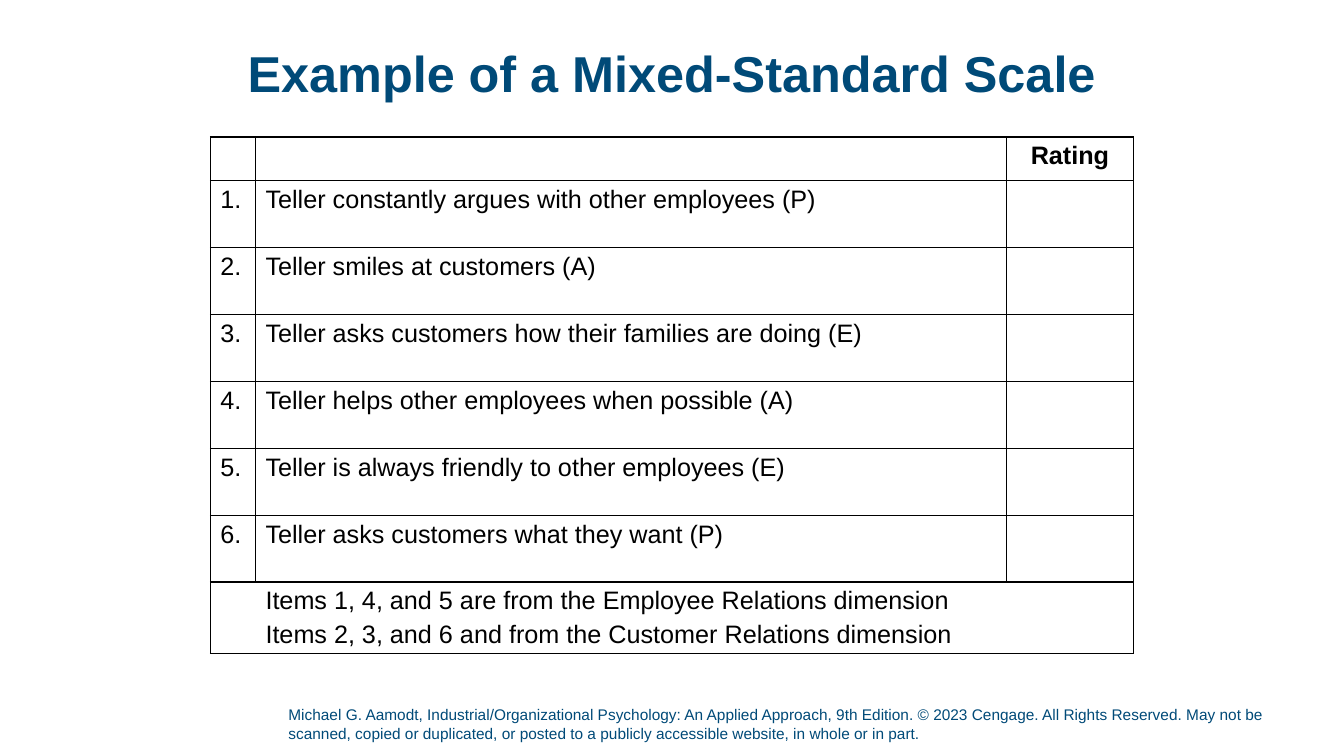
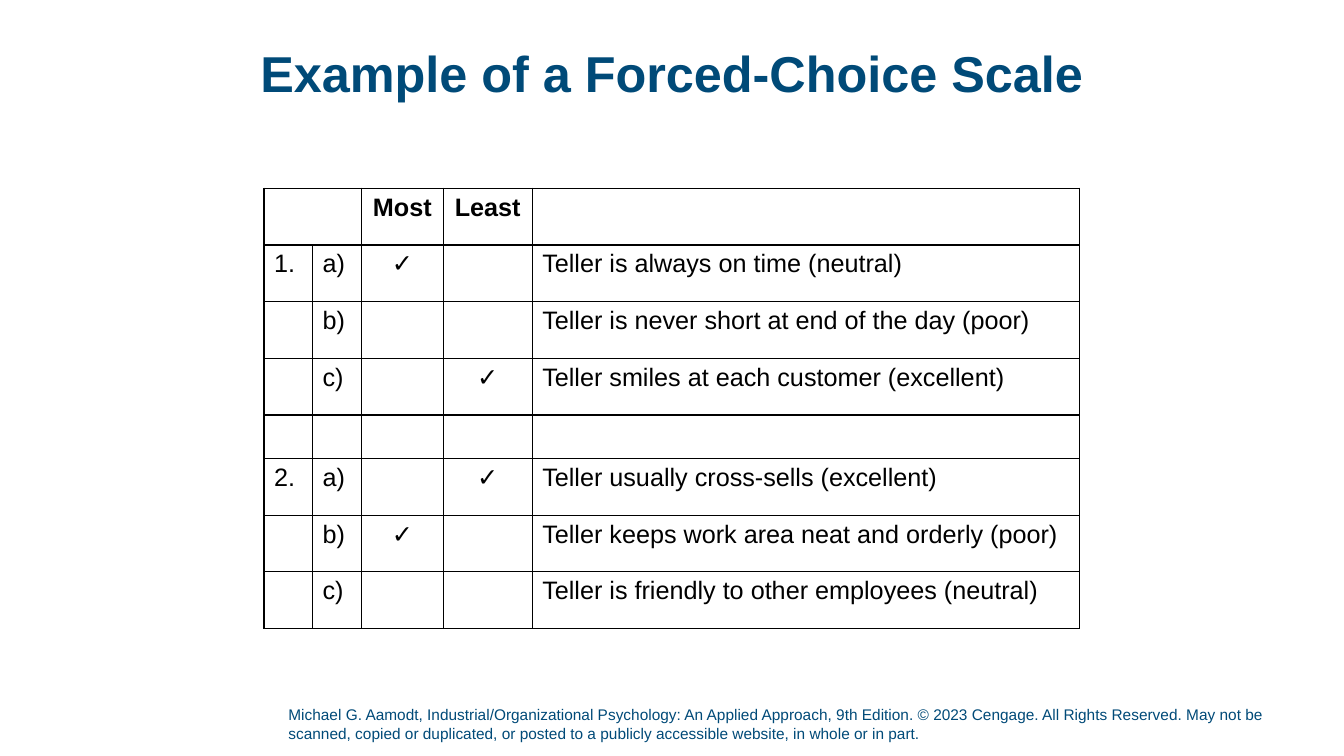
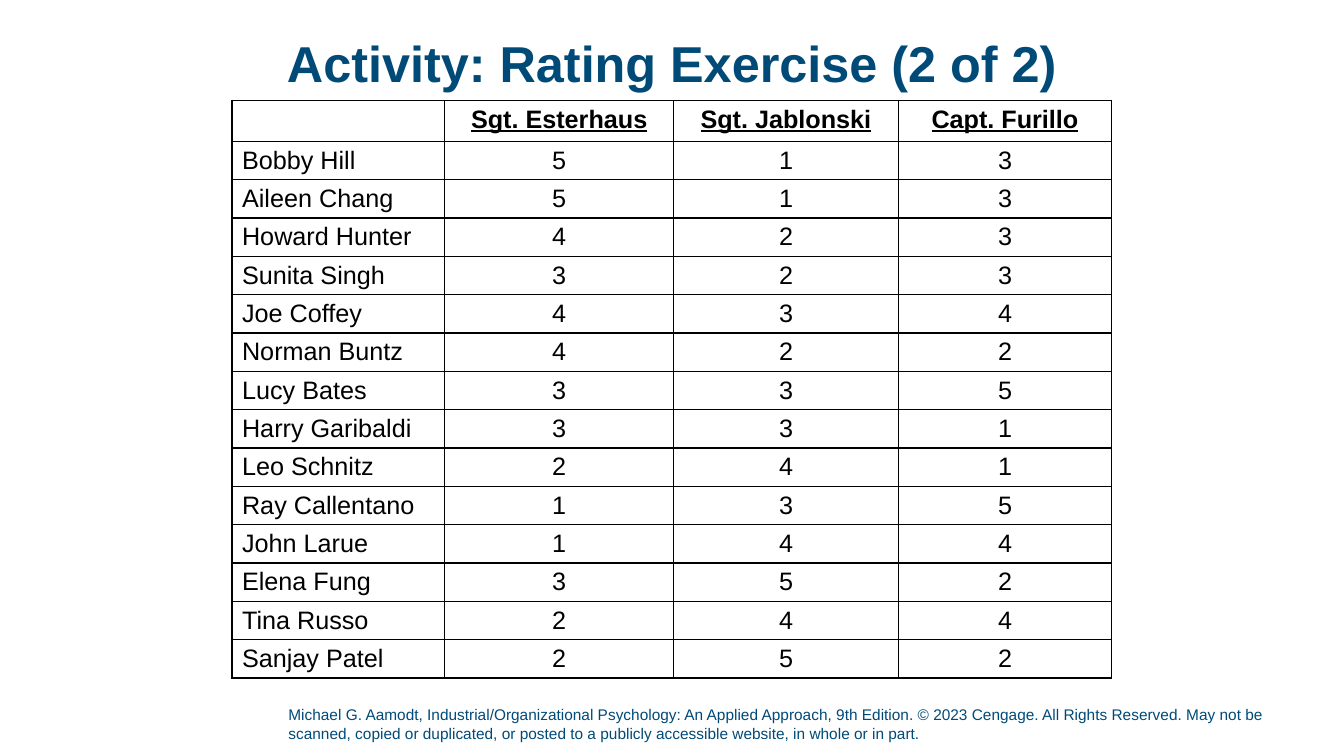
from dataclasses import dataclass

from lxml.etree import SubElement
from pptx import Presentation
from pptx.dml.color import RGBColor
from pptx.enum.text import MSO_ANCHOR, MSO_AUTO_SIZE, PP_ALIGN
from pptx.oxml.ns import qn
from pptx.util import Pt


@dataclass(frozen=True)
class Theme:
    font: str = "Arial"
    blue: str = "004A78"
    black: str = "000000"
    head: float = 36
    body: float = 18
    note: float = 11
    rule: float = 1


THEME = Theme()
FOOTER = (
    "Michael G. Aamodt, Industrial/Organizational Psychology: An Applied "
    "Approach, 9th Edition. © 2023 Cengage. All Rights Reserved. May not be "
    "scanned, copied or duplicated, or posted to a publicly accessible "
    "website, in whole or in part."
)


def write(frame, text, size=THEME.body, color=THEME.black, bold=False,
          under=False, center=False, gap=0, lead=None):
    """Fill a text frame, one paragraph for each line of text."""
    for num, line in enumerate(text.split("\n")):
        para = frame.add_paragraph() if num else frame.paragraphs[0]
        para.alignment = PP_ALIGN.CENTER if center else PP_ALIGN.LEFT
        para.space_before = Pt(gap if num else 0)
        if lead:
            para.line_spacing = lead
        run = para.add_run()
        run.text = line
        font = run.font
        font.name, font.size = THEME.font, Pt(size)
        font.bold, font.underline = bold, under
        font.color.rgb = RGBColor.from_string(color)


def fit(frame, anchor, base=0):
    """Wrap a frame with no margins but the one at its base."""
    frame.word_wrap = True
    frame.auto_size = MSO_AUTO_SIZE.NONE
    frame.vertical_anchor = anchor
    frame.margin_left = frame.margin_right = frame.margin_top = 0
    frame.margin_bottom = Pt(base)


def edge(cell, side, shown):
    """Draw or hide one border of a cell."""
    line = SubElement(cell._tc.get_or_add_tcPr(), qn(f"a:ln{side}"),
                      w=str(Pt(THEME.rule)))
    if shown:
        fill = SubElement(line, qn("a:solidFill"))
        SubElement(fill, qn("a:srgbClr"), val=THEME.black)
    else:
        SubElement(line, qn("a:noFill"))


class Deck:
    def __init__(self):
        self.prs = Presentation()
        self.prs.slide_width, self.prs.slide_height = Pt(960), Pt(540)
        self.layout = self.prs.slide_layouts.get_by_name("Title Only")
        self.slide = None

    def start(self, title, top=12, height=85):
        """Add a slide with its title."""
        first = self.slide is None
        self.slide = self.prs.slides.add_slide(self.layout)
        if first:
            self.footer()
        head = self.slide.shapes.title
        head.left, head.top = Pt(66), Pt(top)
        head.width, head.height = Pt(828), Pt(height)
        fit(head.text_frame, MSO_ANCHOR.MIDDLE)
        write(head.text_frame, title, size=THEME.head, color=THEME.blue,
              bold=True, center=True, lead=0.9)

    def footer(self):
        """Place the copyright line on the layout, for all slides."""
        box = self.slide.shapes.add_textbox(Pt(206), Pt(504), Pt(744.5), Pt(30))
        fit(box.text_frame, MSO_ANCHOR.BOTTOM, base=3.6)
        write(box.text_frame, FOOTER, size=THEME.note, color=THEME.blue)
        self.layout.shapes._spTree.append(box._element)

    def table(self, left, top, cols, highs, rows, mid, under=False, joins=()):
        """Add a ruled table; joins lists cells with no right border."""
        grid = self.slide.shapes.add_table(
            len(rows), len(cols), Pt(left), Pt(top),
            Pt(sum(cols)), Pt(sum(highs))).table
        grid.first_row = grid.horz_banding = False
        for col, wide in zip(grid.columns, cols):
            col.width = Pt(wide)
        for r, (row, high) in enumerate(zip(rows, highs)):
            grid.rows[r].height = Pt(high)
            for c, text in enumerate(row):
                cell = grid.cell(r, c)
                edge(cell, "L", (r, c - 1) not in joins)
                edge(cell, "R", (r, c) not in joins)
                edge(cell, "T", True)
                edge(cell, "B", True)
                cell.fill.background()
                if text:
                    write(cell.text_frame, text, bold=r == 0,
                          under=under and r == 0, center=c in mid, gap=3.6)


def main():
    deck = Deck()

    # Mixed-standard scale
    items = [
        "Teller constantly argues with other employees (P)",
        "Teller smiles at customers (A)",
        "Teller asks customers how their families are doing (E)",
        "Teller helps other employees when possible (A)",
        "Teller is always friendly to other employees (E)",
        "Teller asks customers what they want (P)",
    ]
    key = ("Items 1, 4, and 5 are from the Employee Relations dimension\n"
           "Items 2, 3, and 6 and from the Customer Relations dimension")
    rows = [["", "", "Rating"]]
    rows += [[f"{n}.", item, ""] for n, item in enumerate(items, 1)]
    rows += [["", key, ""]]
    deck.start("Example of a Mixed-Standard Scale")
    deck.table(150.3, 97.8, [32.2, 536.5, 90.6], [31.2] + [47.8] * 6 + [51.2],
               rows, mid={2}, joins={(7, 0), (7, 1)})

    # Forced-choice scale
    rows = [
        ["", "", "Most", "Least", ""],
        ["1.", "a)", "✓", "", "Teller is always on time (neutral)"],
        ["", "b)", "", "", "Teller is never short at end of the day (poor)"],
        ["", "c)", "", "✓", "Teller smiles at each customer (excellent)"],
        [""] * 5,
        ["2.", "a)", "", "✓", "Teller usually cross-sells (excellent)"],
        ["", "b)", "✓", "", "Teller keeps work area neat and orderly (poor)"],
        ["", "c)", "", "", "Teller is friendly to other employees (neutral)"],
    ]
    deck.start("Example of a Forced-Choice Scale")
    deck.table(188.6, 134.5, [34.6, 35, 58.5, 63.5, 391],
               [40.5] * 4 + [31.1] + [40.5] * 3,
               rows, mid={2, 3}, joins={(0, 0)})

    # Rating exercise
    marks = {
        "Bobby Hill": "513", "Aileen Chang": "513", "Howard Hunter": "423",
        "Sunita Singh": "323", "Joe Coffey": "434", "Norman Buntz": "422",
        "Lucy Bates": "335", "Harry Garibaldi": "331", "Leo Schnitz": "241",
        "Ray Callentano": "135", "John Larue": "144", "Elena Fung": "352",
        "Tina Russo": "244", "Sanjay Patel": "252",
    }
    rows = [["", "Sgt. Esterhaus", "Sgt. Jablonski", "Capt. Furillo"]]
    rows += [[name, *given] for name, given in marks.items()]
    deck.start("Activity: Rating Exercise (2 of 2)", top=21, height=53)
    deck.table(165.7, 71.7, [152, 163.5, 160.5, 152.4], [27.4] * len(rows),
               rows, mid={1, 2, 3}, under=True)

    deck.prs.save("out.pptx")


if __name__ == "__main__":
    main()
